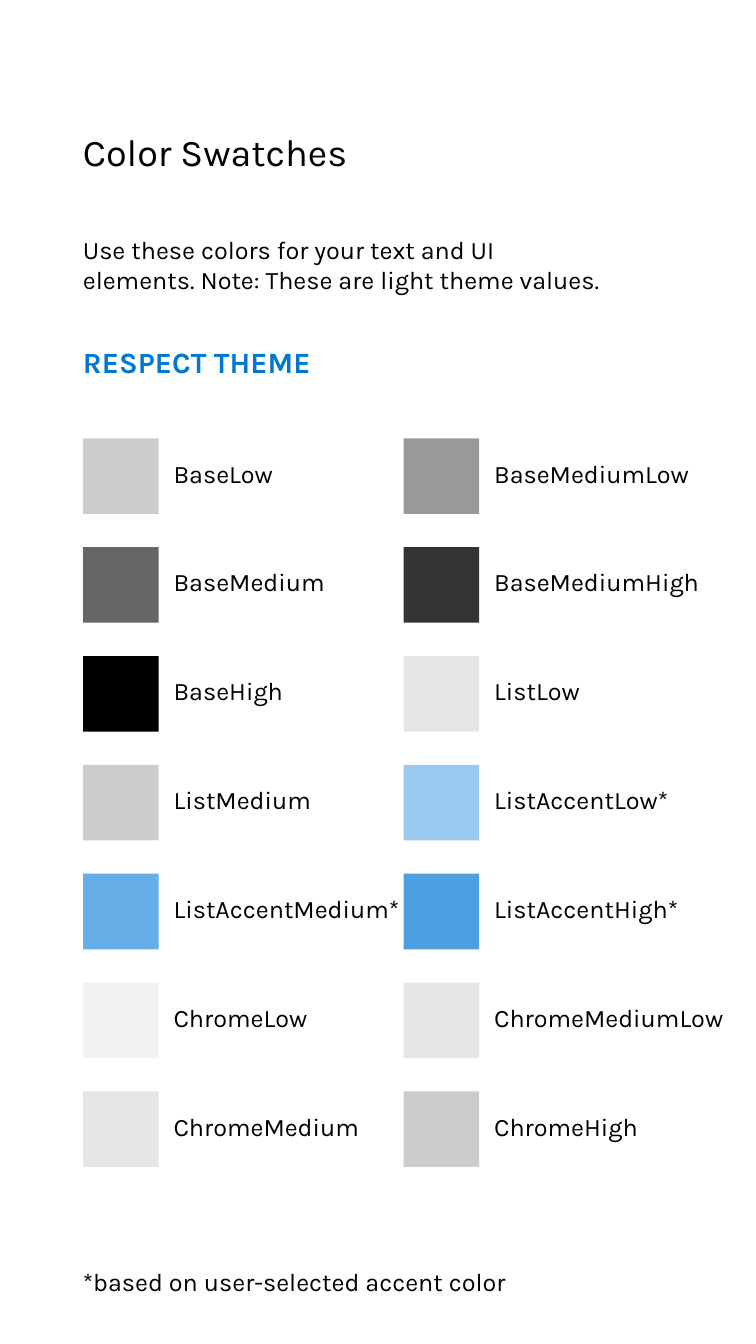
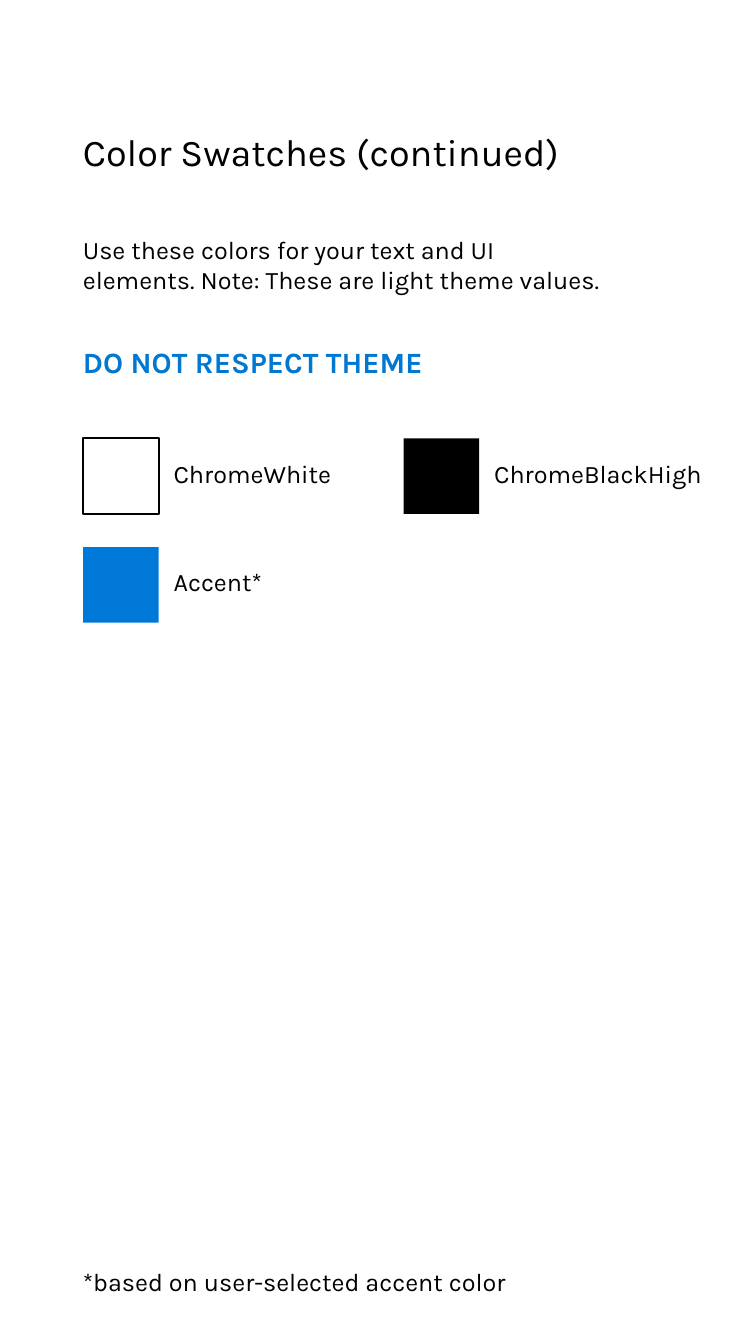
from lxml import etree
from pptx import Presentation
from pptx.dml.color import RGBColor as RGB
from pptx.enum.shapes import MSO_SHAPE as SHAPE
from pptx.enum.text import MSO_AUTO_SIZE as FIT
from pptx.oxml.ns import qn
from pptx.util import Inches, Pt

BLACK = RGB(0x00, 0x00, 0x00)
WHITE = RGB(0xFF, 0xFF, 0xFF)
ACCENT = RGB(0x00, 0x78, 0xD7)
HEADING = RGB(0x00, 0x78, 0xD2)
GRAY_95 = RGB(0xF2, 0xF2, 0xF2)
GRAY_90 = RGB(0xE6, 0xE6, 0xE6)
GRAY_80 = RGB(0xCC, 0xCC, 0xCC)

INTRO = ("Use these colors for your text and UI elements. "
         "Note: These are light theme values.")
FOOTNOTE = "*based on user-selected accent color"

THEMED = [
    ("BaseLow", BLACK, 20), ("BaseMediumLow", BLACK, 40),
    ("BaseMedium", BLACK, 60), ("BaseMediumHigh", BLACK, 80),
    ("BaseHigh", BLACK, 100), ("ListLow", BLACK, 10),
    ("ListMedium", BLACK, 20), ("ListAccentLow*", ACCENT, 40),
    ("ListAccentMedium*", ACCENT, 60), ("ListAccentHigh*", ACCENT, 70),
    ("ChromeLow", GRAY_95, 100), ("ChromeMediumLow", GRAY_90, 100),
    ("ChromeMedium", GRAY_90, 100), ("ChromeHigh", GRAY_80, 100),
]
FIXED = [
    ("ChromeWhite", WHITE, 100), ("ChromeBlackHigh", BLACK, 100),
    ("Accent*", ACCENT, 100),
]


class Deck:
    FONT = "Karla"
    CELL = Inches(0.05)
    MARGIN = 9
    SWATCH = 10
    LEFT, TOP = 11, 58
    COL_STEP, ROW_STEP = 42.4, 14.4

    def __init__(self):
        self.prs = Presentation()
        self.prs.slide_width = Inches(5)
        self.prs.slide_height = Inches(8.89)
        self.s = None

    def grid(self, *cells):
        return [round(c * self.CELL) for c in cells]

    def text(self, text, col, row, cols, rows, size=12, color=BLACK,
             bold=False, wrap=True):
        sp = self.s.shapes.add_textbox(*self.grid(col, row, cols, rows))
        tf = sp.text_frame
        tf.word_wrap = wrap
        tf.auto_size = FIT.SHAPE_TO_FIT_TEXT
        p = tf.paragraphs[0]
        p.text = text
        p.font.name = self.FONT
        p.font.size = Pt(size)
        p.font.bold = bold
        p.font.color.rgb = color

    def swatch(self, name, color, opacity, col, row):
        sp = self.s.shapes.add_shape(
            SHAPE.RECTANGLE, *self.grid(col, row, self.SWATCH, self.SWATCH))
        sp.shadow.inherit = False
        sp.fill.solid()
        sp.fill.fore_color.rgb = color
        if opacity < 100:
            clr = sp.fill._xPr.find(qn("a:solidFill"))[0]
            etree.SubElement(clr, qn("a:alpha")).set("val", str(opacity * 1000))
        if color == WHITE:
            sp.line.color.rgb = BLACK
            sp.line.width = Pt(1)
        else:
            sp.line.fill.background()
        self.text(name, col + self.SWATCH, row + 1.6, 36, 6)

    def page(self, title, heading, heading_cols, swatches):
        self.s = self.prs.slides.add_slide(self.prs.slide_layouts[6])
        self.text(title, self.MARGIN, 16, 82, 8, size=18)
        self.text(INTRO, self.MARGIN, 30, 74, 10)
        self.text(heading, self.MARGIN, 44.6, heading_cols, 6.8,
                  size=14, color=HEADING, bold=True, wrap=False)
        for i, (name, color, opacity) in enumerate(swatches):
            row, col = divmod(i, 2)
            self.swatch(name, color, opacity,
                        self.LEFT + col * self.COL_STEP,
                        self.TOP + row * self.ROW_STEP)
        self.text(FOOTNOTE, self.MARGIN, 166.6, 74, 6)


deck = Deck()
deck.page("Color Swatches", "RESPECT THEME", 34.6, THEMED)
deck.page("Color Swatches (continued)", "DO NOT RESPECT THEME", 50.8, FIXED)
deck.prs.save("out.pptx")
